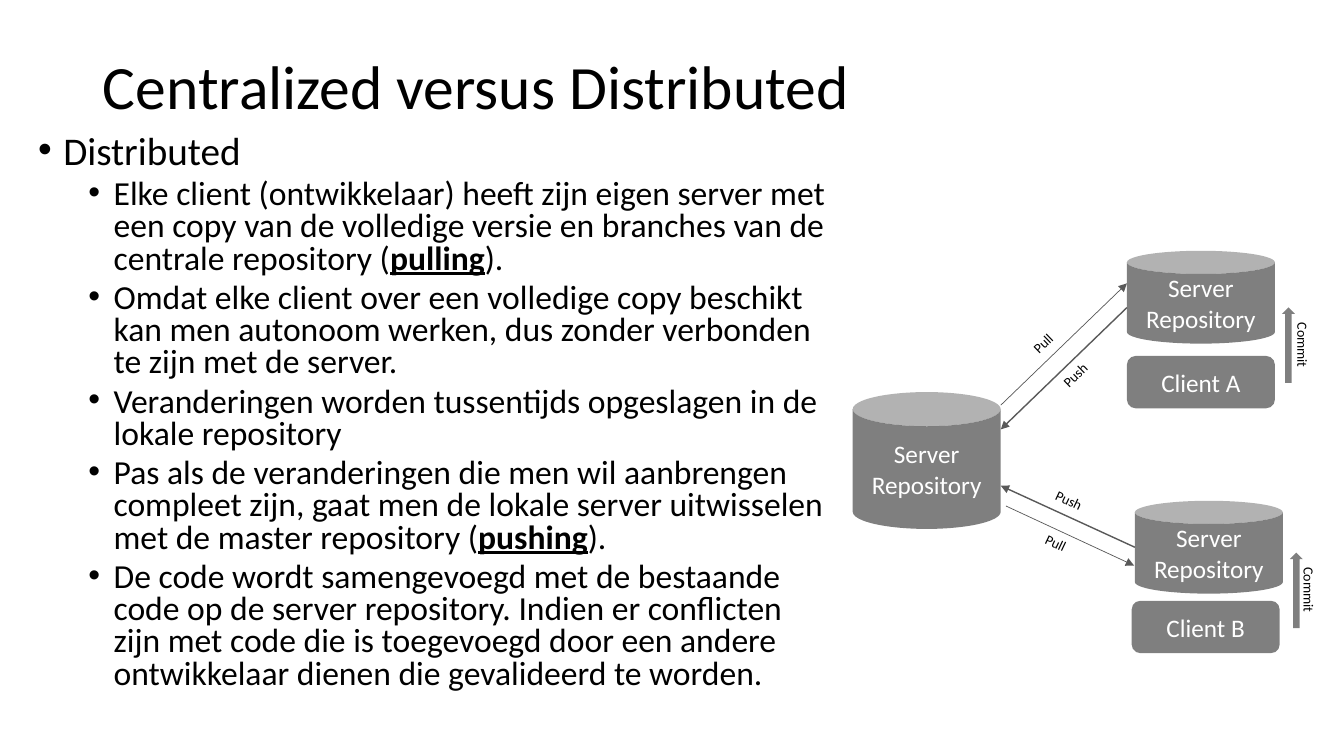
from lxml import etree
from pptx import Presentation
from pptx.dml.color import RGBColor
from pptx.enum import shapes, text
from pptx.oxml import ns
from pptx.util import Cm, Pt

FONT = "Calibri"
BLACK, WHITE, GREY = "000000", "FFFFFF", "595959"
TITLE = "Centralized versus Distributed"
BULLETS = [
    (0, ["Distributed"]),
    (1, ["Elke client (ontwikkelaar) heeft zijn eigen server met een copy van de volledige "
         "versie en branches van de centrale repository (", "pulling", ")."]),
    (1, ["Omdat elke client over een volledige copy beschikt kan men autonoom werken, "
         "dus zonder verbonden te zijn met de server."]),
    (1, ["Veranderingen worden tussentijds opgeslagen in de lokale repository"]),
    (1, ["Pas als de veranderingen die men wil aanbrengen compleet zijn, gaat men de lokale "
         "server uitwisselen met de master repository (", "pushing", ")."]),
    (1, ["De code wordt samengevoegd met de bestaande code op de server repository. Indien er "
         "conflicten zijn met code die is toegevoegd door een andere ontwikkelaar dienen die "
         "gevalideerd te worden."]),
]
LEVELS = [(28, 10, 0.25), (24, 5, 0.75)]
KEYWORDS = {"pulling", "pushing"}

REPOSITORY = "Server Repository"
NODE_WIDTH = 3.73
NODES = [
    ("CAN", REPOSITORY, 21.49, 9.88, 3.45),
    ("CAN", REPOSITORY, 28.4, 6.32, 2.34),
    ("CAN", REPOSITORY, 28.6, 12.62, 2.34),
    ("ROUNDED_RECTANGLE", "Client A", 28.4, 8.97, 1.32),
    ("ROUNDED_RECTANGLE", "Client B", 28.52, 15.14, 1.32),
]
COMMIT_ARROWS = [(31.52, 8.53), (31.72, 14.71)]
CONNECTORS = [
    ((28.6, 13.79), (25.22, 12.24), 1),
    ((25.35, 12.75), (28.58, 14.25), 0.5),
    ((28.4, 7.75), (25.22, 10.82), 1),
    ((25.22, 10.21), (28.4, 7.14), 0.5),
]
LABELS = [
    ("Pull", 25.76, 8.28, 1.12, 315.9),
    ("Push", 26.47, 9.02, 1.42, 315.9),
    ("Pull", 26.09, 13.36, 1.12, 25.5),
    ("Push", 26.34, 12.29, 1.3, 25.5),
    ("Commit", 32, 8.36, 1.65, 90),
    ("Commit", 32.16, 14.53, 1.65, 90),
]


def color(value):
    return RGBColor.from_string(value)


def box(*lengths):
    return [Cm(length) for length in lengths]


def set_font(paragraph, size, value):
    paragraph.font.name = FONT
    paragraph.font.size = Pt(size)
    paragraph.font.color.rgb = color(value)


def add_title(slide):
    title = slide.shapes.title
    title.left, title.top, title.width, title.height = box(2.34, 1.14, 29.21, 2.21)
    frame = title.text_frame
    frame.text = TITLE
    frame.auto_size = text.MSO_AUTO_SIZE.NONE
    frame.vertical_anchor = text.MSO_ANCHOR.MIDDLE
    paragraph = frame.paragraphs[0]
    paragraph.alignment = text.PP_ALIGN.LEFT
    paragraph.line_spacing = 0.9
    set_font(paragraph, 44, BLACK)


def add_bullets(slide):
    frame = slide.shapes.add_textbox(*box(0.71, 3.28, 20.57, 14.83)).text_frame
    frame.word_wrap = True
    for index, (level, parts) in enumerate(BULLETS):
        paragraph = frame.add_paragraph() if index else frame.paragraphs[0]
        size, before, indent = LEVELS[level]
        paragraph.level = level
        paragraph.line_spacing = 0.8
        paragraph.space_before = Pt(before)
        set_font(paragraph, size, BLACK)
        for part in parts:
            run = paragraph.add_run()
            run.text = part
            if part in KEYWORDS:
                run.font.bold = run.font.underline = True
        properties = paragraph._p.get_or_add_pPr()
        properties.set("marL", str(Cm(indent * 2.54)))
        properties.set("indent", str(-Cm(0.25 * 2.54)))
        bullet_font = etree.Element(ns.qn("a:buFont"), typeface="Arial")
        bullet = etree.Element(ns.qn("a:buChar"), char="•")
        defaults = properties.find(ns.qn("a:defRPr"))
        defaults.addprevious(bullet_font)
        defaults.addprevious(bullet)


def add_translucent(slide, kind, *lengths):
    shape = slide.shapes.add_shape(kind, *box(*lengths))
    shape.shadow.inherit = False
    shape.fill.solid()
    shape.fill.fore_color.rgb = color(BLACK)
    shape.line.fill.background()
    fill_color = shape.fill._xPr.find(ns.qn("a:solidFill"))[0]
    etree.SubElement(fill_color, ns.qn("a:alpha"), val="50000")
    return shape


def add_node(slide, kind, caption, left, top, height):
    shape = add_translucent(slide, shapes.MSO_SHAPE[kind], left, top, NODE_WIDTH, height)
    frame = shape.text_frame
    frame.text = caption
    frame.vertical_anchor = text.MSO_ANCHOR.MIDDLE
    frame.paragraphs[0].alignment = text.PP_ALIGN.CENTER
    set_font(frame.paragraphs[0], 18, WHITE)


def add_arrow(slide, start, end, width):
    connector = slide.shapes.add_connector(shapes.MSO_CONNECTOR.STRAIGHT, *box(*start, *end))
    connector.line.color.rgb = color(GREY)
    connector.line.width = Pt(width)
    etree.SubElement(connector.line._get_or_add_ln(), ns.qn("a:tailEnd"), type="triangle")
    etree.SubElement(connector._element.spPr, ns.qn("a:effectLst"))


def add_label(slide, caption, left, top, width, rotation):
    label = slide.shapes.add_textbox(*box(left, top, width, 0.69))
    label.rotation = rotation
    label.text_frame.text = caption
    set_font(label.text_frame.paragraphs[0], 10, BLACK)


def main():
    presentation = Presentation()
    presentation.slide_width, presentation.slide_height = box(33.87, 19.05)
    slide = presentation.slides.add_slide(presentation.slide_layouts[5])
    add_title(slide)
    add_bullets(slide)
    for node in NODES:
        add_node(slide, *node)
    for left, top in COMMIT_ARROWS:
        arrow = add_translucent(slide, shapes.MSO_SHAPE.RIGHT_ARROW, left, top, 1.9, 0.33)
        arrow.rotation = 270
    for connector in CONNECTORS:
        add_arrow(slide, *connector)
    for label in LABELS:
        add_label(slide, *label)
    presentation.save("out.pptx")


if __name__ == "__main__":
    main()
